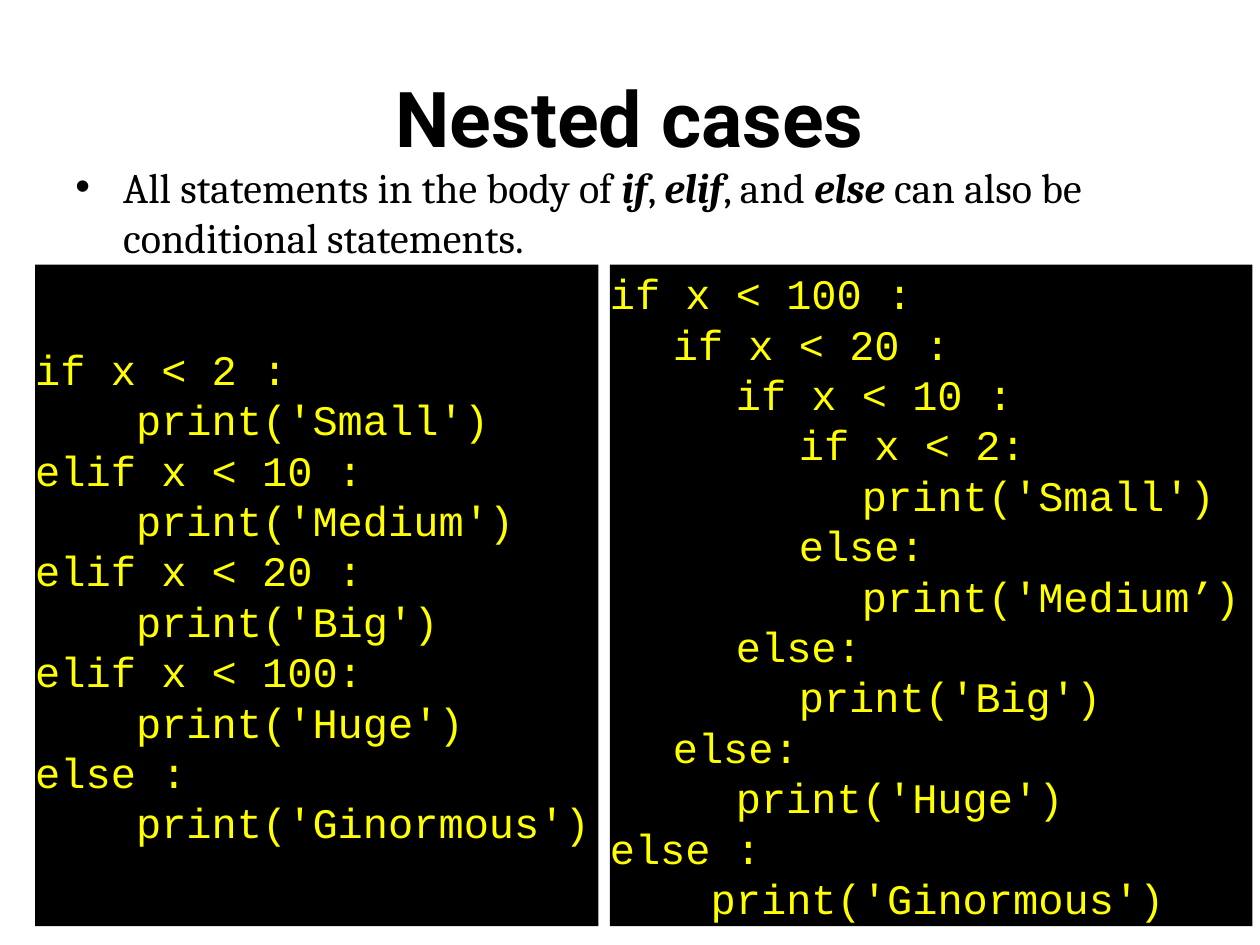
from lxml.etree import SubElement as Sub
from pptx import Presentation
from pptx.dml.color import RGBColor as Rgb
from pptx.enum.shapes import MSO_SHAPE as Shape
from pptx.enum.text import MSO_ANCHOR as Anchor, PP_ALIGN as Align
from pptx.oxml.ns import qn
from pptx.util import Inches, Pt

TITLE = "Nested cases"
POINT = [
    ("All statements in the body of ", False), ("if", True), (", ", False),
    ("elif", True), (", and ", False), ("else", True),
    (" can also be conditional statements.", False),
]
FLAT = [
    "if x < 2 :",
    "    print('Small')",
    "elif x < 10 :",
    "    print('Medium')",
    "elif x < 20 :",
    "    print('Big')",
    "elif x < 100:",
    "    print('Huge')",
    "else :",
    "    print('Ginormous')",
]
NESTED = [
    "if x < 100 :",
    "\tif x < 20 :",
    "\t\tif x < 10 :",
    "\t\t\tif x < 2:",
    "    \t\t\tprint('Small')",
    "\t\t\telse:",
    "\t\t\t\tprint('Medium’)",
    "     else:",
    "\t\t\tprint('Big')",
    "\telse:",
    "\t\tprint('Huge')",
    "else :",
    "    print('Ginormous')",
]
PANELS = [(0.28, 4.47, FLAT), (4.84, 5.1, NESTED)]  # left, width, code
TOP, HEIGHT = 2.1, 5.25
TAB, STOPS = 0.5, 4
INDENT = 0.38

BLACK, YELLOW = Rgb(0, 0, 0), Rgb(255, 255, 0)
THEME = {
    "title": {"name": "Roboto", "size": Pt(44), "bold": True, "color": BLACK},
    "body": {"name": "Cambria", "size": Pt(24), "color": BLACK},
    "code": {"name": "Courier New", "size": Pt(24), "color": YELLOW},
    "panel": BLACK,
}


def style(font, look):
    for key, val in look.items():
        if key == "color":
            font.color.rgb = val
        else:
            setattr(font, key, val)


def add_run(para, text, look):
    run = para.add_run()
    run.text = text
    style(run.font, look)


def add_box(slide, *area):
    frame = slide.shapes.add_textbox(*map(Inches, area)).text_frame
    frame.word_wrap = True
    return frame


def add_title(slide):
    frame = add_box(slide, 0.5, 0.3, 9, 1.25)
    frame.vertical_anchor = Anchor.MIDDLE
    para = frame.paragraphs[0]
    para.alignment = Align.CENTER
    add_run(para, TITLE, THEME["title"])


def add_point(slide):
    para = add_box(slide, 0.5, 1.23, 9, 4.95).paragraphs[0]
    props = para._p.get_or_add_pPr()
    props.set("marL", str(Inches(INDENT)))
    props.set("indent", str(-Inches(INDENT)))
    Sub(props, qn("a:buFont"), typeface="Arial")
    Sub(props, qn("a:buChar"), char="•")
    for text, strong in POINT:
        add_run(para, text, THEME["body"] | {"bold": strong, "italic": strong})


def set_tabs(para):
    tabs = Sub(para._p.get_or_add_pPr(), qn("a:tabLst"))
    for num in range(1, STOPS + 1):
        Sub(tabs, qn("a:tab"), pos=str(Inches(TAB * num)), algn="l")


def add_panel(slide, left, width, code):
    area = map(Inches, (left, TOP, width, HEIGHT))
    panel = slide.shapes.add_shape(Shape.RECTANGLE, *area)
    panel.shadow.inherit = False
    panel.fill.solid()
    panel.fill.fore_color.rgb = THEME["panel"]
    panel.line.fill.background()
    frame = panel.text_frame
    frame.word_wrap = True
    frame.vertical_anchor = Anchor.MIDDLE
    for side in ("left", "top", "right", "bottom"):
        setattr(frame, f"margin_{side}", 0)
    for num, line in enumerate(code):
        para = frame.add_paragraph() if num else frame.paragraphs[0]
        para.alignment = Align.LEFT
        set_tabs(para)
        add_run(para, line, THEME["code"])


def main():
    deck = Presentation()
    deck.slide_width, deck.slide_height = Inches(10), Inches(7.5)
    slide = deck.slides.add_slide(deck.slide_layouts[6])
    add_title(slide)
    add_point(slide)
    for panel in PANELS:
        add_panel(slide, *panel)
    deck.save("out.pptx")


if __name__ == "__main__":
    main()
